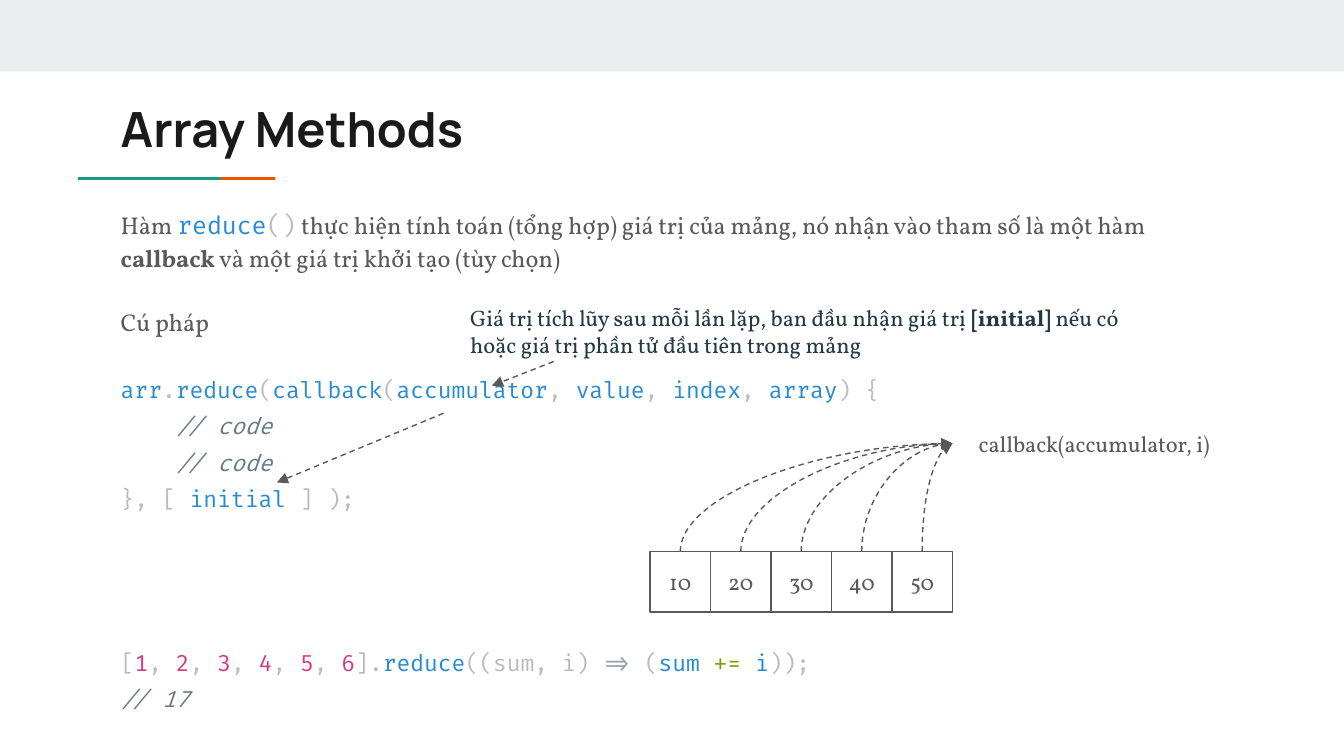
from lxml.etree import SubElement
from pptx import Presentation
from pptx.dml.color import RGBColor
from pptx.enum.dml import MSO_LINE
from pptx.enum.shapes import MSO_CONNECTOR as LINK, MSO_SHAPE as SHAPE
from pptx.enum.text import MSO_ANCHOR as ANCHOR, PP_ALIGN as ALIGN
from pptx.oxml.ns import qn
from pptx.util import Inches, Pt

GREY, BLUE, PALE, NOTE, PINK = "595959", "268BD2", "BBBBBB", "657B83", "D33682"
INK, ARROW, GREEN = "233A44", "93A1A1", "859900"
SERIF, MONO = "Vollkorn", "Fira Code"


def rgb(color):
    return RGBColor.from_string(color)


def dashed_arrow(kind, *ends):
    arrow = slide.shapes.add_connector(kind, *ends)
    arrow.line.color.rgb = rgb(GREY)
    arrow.line.width = Pt(0.75)
    arrow.line.dash_style = MSO_LINE.DASH
    SubElement(arrow.line._get_or_add_ln(), qn("a:tailEnd"), type="triangle")
    SubElement(arrow._element.spPr, qn("a:effectLst"))
    return arrow


# Widescreen slide, 16 to 9
prs = Presentation()
prs.slide_width = Inches(10)
prs.slide_height = prs.slide_width * 9 // 16
slide = prs.slides.add_slide(prs.slide_layouts[6])

# Square grid: 100 columns across the slide
U = prs.slide_width // 100

# Top band and two-colour accent rule
for left, top, width, height, color in [
    (0, 0, 100, 5.32, "E9EDEE"),
    (9.9, 13.18, 10.6, 0.2, "EB5600"),
    (5.8, 13.18, 10.6, 0.2, "1A9988"),
]:
    bar = slide.shapes.add_shape(SHAPE.RECTANGLE, *(int(v * U) for v in (left, top, width, height)))
    bar.fill.solid()
    bar.fill.fore_color.rgb = rgb(color)
    bar.line.fill.background()
    bar.shadow.inherit = False

# Code lines as (text, colour) tokens
signature = [("arr", BLUE), (".", PALE), ("reduce", BLUE), ("(", PALE), ("callback", BLUE), ("(", PALE)]
for i, argument in enumerate(["accumulator", "value", "index", "array"]):
    signature += [(", ", PALE)] * (i > 0) + [(argument, BLUE)]
signature.append((") {", PALE))

example = [("[", PALE)]
for i in range(1, 7):
    example += [(", ", PALE)] * (i > 1) + [(str(i), PINK)]
example += [("].", PALE), ("reduce", BLUE), ("((sum, i) ", PALE), ("=>", ARROW), (" (", PALE),
            ("sum ", BLUE), ("+= ", GREEN), ("i", BLUE), ("));", PALE)]

comment = [("// code", NOTE)]
closing = [("}, [ ", PALE), ("initial ", BLUE), ("] );", PALE)]
intro = [("Hàm ", GREY), ("reduce", BLUE), ("()", PALE),
         (" thực hiện tính toán (tổng hợp) giá trị của mảng, nó nhận vào tham số là một hàm ", GREY),
         ("callback", GREY), (" và một giá trị khởi tạo (tùy chọn)", GREY)]
hint = [("Giá trị tích lũy sau mỗi lần lặp, ban đầu nhận giá trị ", INK), ("[initial]", INK),
        (" nếu có hoặc giá trị phần tử đầu tiên trong mảng", INK)]

# Text boxes: place, then paragraphs as (tokens, font, size, line spacing, space before, indent)
texts = [
    ((8, 14.32, 84.1, 39.2), [
        (intro, SERIF, 13, 1.15, 10, 0),
        ([("Cú pháp", GREY)], SERIF, 13, 1.15, 16, 0),
        (signature, MONO, 12, 1.36, 16, 0),
        (comment, MONO, 12, 1.36, 0, 4.1),
        (comment, MONO, 12, 1.36, 0, 4.1),
        (closing, MONO, 12, 1.36, 0, 0),
        (example, MONO, 12, 1.36, 68, 0),
        ([("// 17", NOTE)], MONO, 12, 1.36, 0, 0),
    ]),
    ((8, 6.4, 84.1, 5.9), [([("Array Methods", "1A1A1A")], "Manrope", 26, 1, 0, 0)]),
    ((34, 21.65, 52.7, 6), [(hint, SERIF, 12, 1, 0, 0)]),
]
for place, paragraphs in texts:
    frame = slide.shapes.add_textbox(*(int(v * U) for v in place)).text_frame
    frame.word_wrap = True
    frame.margin_top = frame.margin_bottom = U
    for n, (tokens, font, size, spacing, before, indent) in enumerate(paragraphs):
        para = frame.add_paragraph() if n else frame.paragraphs[0]
        para.font.name, para.font.size = font, Pt(size)
        para.line_spacing, para.space_before = spacing, Pt(before)
        if indent:
            para._p.get_or_add_pPr().set("marL", str(int(indent * U)))
        for words, color in tokens:
            run = para.add_run()
            run.text = words
            run.font.color.rgb = rgb(color)
            if font == SERIF and color in (BLUE, PALE):
                run.font.name = MONO
            if color == NOTE:
                run.font.italic = True
            if words in ("Array Methods", "callback", "[initial]") and font != MONO:
                run.font.bold = True

# Array cells and the callback label that follows them
CELL, ROW_LEFT, ROW_TOP, CALL_TOP = 4.5, 48.37, 41.05, 30.75
values = ["10", "20", "30", "40", "50"]
row_right = ROW_LEFT + CELL * len(values)
cells = [(value, ROW_LEFT + CELL * i, ROW_TOP, CELL) for i, value in enumerate(values)]
for words, left, top, width in cells + [("callback(accumulator, i)", row_right, CALL_TOP, 21.1)]:
    cell = slide.shapes.add_shape(SHAPE.RECTANGLE, *(int(v * U) for v in (left, top, width, CELL)))
    cell.fill.background()
    cell.shadow.inherit = False
    if words in values:
        cell.line.color.rgb = rgb(GREY)
        cell.line.width = Pt(0.75)
    else:
        cell.line.fill.background()
    frame = cell.text_frame
    frame.word_wrap = True
    frame.vertical_anchor = ANCHOR.MIDDLE
    frame.margin_top = frame.margin_bottom = U
    para = frame.paragraphs[0]
    para.text, para.alignment = words, ALIGN.CENTER
    para.font.name, para.font.size = SERIF, Pt(12)
    para.font.color.rgb = rgb(GREY)

# Quarter curves from each cell up to the label, turned by 270 degrees
call_y = CALL_TOP + CELL / 2
rise, mid_y = ROW_TOP - call_y, (ROW_TOP + call_y) / 2
for _, left, _, _ in cells:
    start = left + CELL / 2
    reach, mid_x = row_right - start, (row_right + start) / 2
    curve = dashed_arrow(LINK.CURVE, *(int(v * U) for v in (
        mid_x - rise / 2, mid_y - reach / 2, mid_x + rise / 2, mid_y + reach / 2)))
    curve._element.spPr.find(qn("a:xfrm")).set("rot", str(270 * 60000))
    curve._element.spPr.find(qn("a:prstGeom")).set("prst", "curvedConnector2")

# Arrows to the initial value and to the accumulator
for ends in [(33, 30.75, 20.6, 35.9), (41.2, 26.9, 36.6, 28.7)]:
    dashed_arrow(LINK.STRAIGHT, *(int(v * U) for v in ends))

prs.save("out.pptx")
